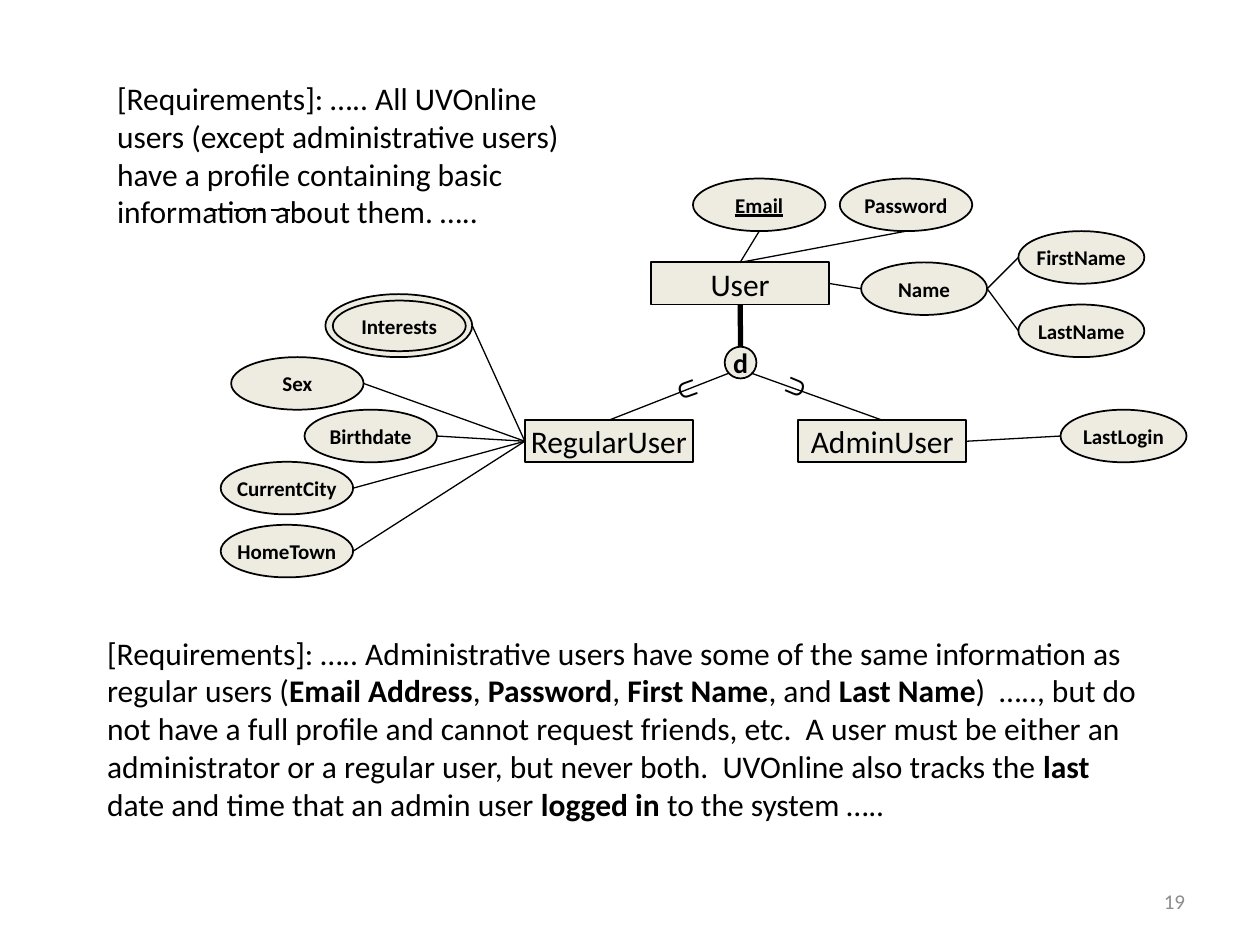
"""Build a slide with the user specialization ER diagram and its requirements."""
from lxml.etree import SubElement
from pptx import Presentation
from pptx.dml.color import RGBColor
from pptx.enum.dml import MSO_LINE
from pptx.enum.shapes import MSO_CONNECTOR, MSO_SHAPE
from pptx.enum.text import MSO_ANCHOR, PP_ALIGN
from pptx.oxml.ns import qn
from pptx.util import Cm, Pt

COLORS = {"ink": "000000", "node": "EEECE1", "number": "8C8C8C"}

prs = Presentation()
prs.slide_width, prs.slide_height = Cm(25.4), Cm(19.05)
s = prs.slides.add_slide(prs.slide_layouts[6])


def write(sp, text, size, color="ink", font="Calibri", bold=False):
    """Fill one paragraph, switching bold at each asterisk."""
    p = sp.text_frame.paragraphs[0]
    for i, part in enumerate(text.split("*")):
        r = p.add_run()
        r.text = part
        r.font.name, r.font.size = font, Pt(size)
        r.font.bold = bold or i % 2 == 1
        r.font.color.rgb = RGBColor.from_string(COLORS[color])
    return p


def add_node(kind, text, x, y, w, h, size=12, bold=True):
    """Add a filled, outlined shape with centred text."""
    sp = s.shapes.add_shape(kind, Cm(x), Cm(y), Cm(w), Cm(h))
    sp.shadow.inherit = False
    sp.fill.solid()
    sp.fill.fore_color.rgb = RGBColor.from_string(COLORS["node"])
    sp.line.color.rgb = RGBColor.from_string(COLORS["ink"])
    sp.line.width = Pt(1)
    tf = sp.text_frame
    tf.word_wrap = False
    tf.vertical_anchor = MSO_ANCHOR.MIDDLE
    tf.paragraphs[0].alignment = PP_ALIGN.CENTER
    if text:
        write(sp, text, size, bold=bold)
    return sp


first = "[Requirements]: ….. All UVOnline users (except administrative users) have a profile containing basic information about them. ….."
second = (
    "[Requirements]: ….. Administrative users have some of the same information as regular users ("
    "*Email Address*, *Password*, *First Name*, and *Last Name*)  ….., but do not have a full profile "
    "and cannot request friends, etc.  A user must be either an administrator or a regular user, "
    "but never both.  UVOnline also tracks the *last* date and time that an admin user "
    "*logged in *to the system ….."
)
labels = [
    (first, 2.11, 1.47, 10.16, 3.33, 0, 18, "ink", "Calibri"),
    (second, 1.91, 12.65, 21.39, 4.88, 0, 18, "ink", "Calibri"),
    ("19", 18.21, 17.65, 5.93, 1.02, 0, 12, "number", "Calibri"),
    ("⊂", 15.6, 7.42, 0.97, 1.02, 202.6, 18, "ink", "Arial"),
    ("⊂", 13.26, 7.29, 0.97, 1.02, 340.1, 18, "ink", "Arial"),
]
for text, x, y, w, h, angle, size, color, font in labels:
    sp = s.shapes.add_textbox(Cm(x), Cm(y), Cm(w), Cm(h))
    sp.rotation = angle
    sp.text_frame.word_wrap = True
    p = write(sp, text, size, color, font)
    if color == "number":
        p.alignment = PP_ALIGN.RIGHT
        sp.text_frame.vertical_anchor = MSO_ANCHOR.MIDDLE

nodes = {}
for name, x, y, w in [
    ("RegularUser", 10.58, 8.47, 3.39),
    ("User", 13.12, 5.29, 3.6),
    ("AdminUser", 16.09, 8.47, 3.39),
]:
    nodes[name] = add_node(MSO_SHAPE.RECTANGLE, name, x, y, w, 0.85, 18, False)

add_node(MSO_SHAPE.OVAL, "d", 14.61, 6.99, 0.64, 0.64, 16)
nodes["Ring"] = add_node(MSO_SHAPE.OVAL, "", 6.56, 5.93, 2.96, 1.27)
add_node(MSO_SHAPE.OVAL, "Interests", 6.71, 6.06, 2.68, 1.02)
for name, x, y, w in [
    ("Email", 13.97, 3.6, 2.67),
    ("Password", 16.93, 3.6, 2.67),
    ("Name", 17.36, 5.29, 2.54),
    ("FirstName", 20.53, 4.66, 2.54),
    ("LastName", 20.53, 6.14, 2.54),
    ("LastLogin", 21.38, 8.26, 2.54),
    ("Sex", 4.66, 7.2, 2.67),
    ("Birthdate", 6.14, 8.26, 2.67),
    ("CurrentCity", 4.45, 9.31, 2.67),
    ("HomeTown", 4.45, 10.58, 2.67),
]:
    nodes[name] = add_node(MSO_SHAPE.OVAL, name, x, y, w, 1.06)
nodes["Email"].text_frame.paragraphs[0].runs[0].font.underline = True

TOP, LEFT, BOTTOM, RIGHT = range(4)
SIDES = {TOP: (0.5, 0), LEFT: (0, 0.5), BOTTOM: (0.5, 1), RIGHT: (1, 0.5)}
links = [
    ((14.93, 6.99), ("User", BOTTOM), 3),
    ((14.7, 7.52), ("RegularUser", TOP), 0.75),
    ((15.14, 7.52), ("AdminUser", TOP), 0.75),
    (("LastLogin", LEFT), ("AdminUser", RIGHT), 0.75),
    (("Email", BOTTOM), ("User", TOP), 0.75),
    (("Password", BOTTOM), ("User", TOP), 0.75),
    (("Name", LEFT), ("User", RIGHT), 0.75),
    (("FirstName", LEFT), ("Name", RIGHT), 0.75),
    (("LastName", LEFT), ("Name", RIGHT), 0.75),
    ((4.23, 4.23), (6.14, 4.23), 1),
]
for name in ("Ring", "Sex", "Birthdate", "CurrentCity", "HomeTown"):
    links.append(((name, RIGHT), ("RegularUser", LEFT), 0.75))

for start, end, width in links:
    points = []
    for a, b in (start, end):
        if a in nodes:
            sp, (fx, fy) = nodes[a], SIDES[b]
            points += [int(sp.left + fx * sp.width), int(sp.top + fy * sp.height)]
        else:
            points += [Cm(a), Cm(b)]
    line = s.shapes.add_connector(MSO_CONNECTOR.STRAIGHT, *points)
    line.line.color.rgb = RGBColor.from_string(COLORS["ink"])
    line.line.width = Pt(width)
    if end[0] in ("User", "RegularUser", "AdminUser"):
        line.end_connect(nodes[end[0]], end[1])
    if end[0] not in nodes:
        line.line.dash_style = MSO_LINE.DASH
    SubElement(line.element.spPr, qn("a:effectLst"))

prs.save("out.pptx")
